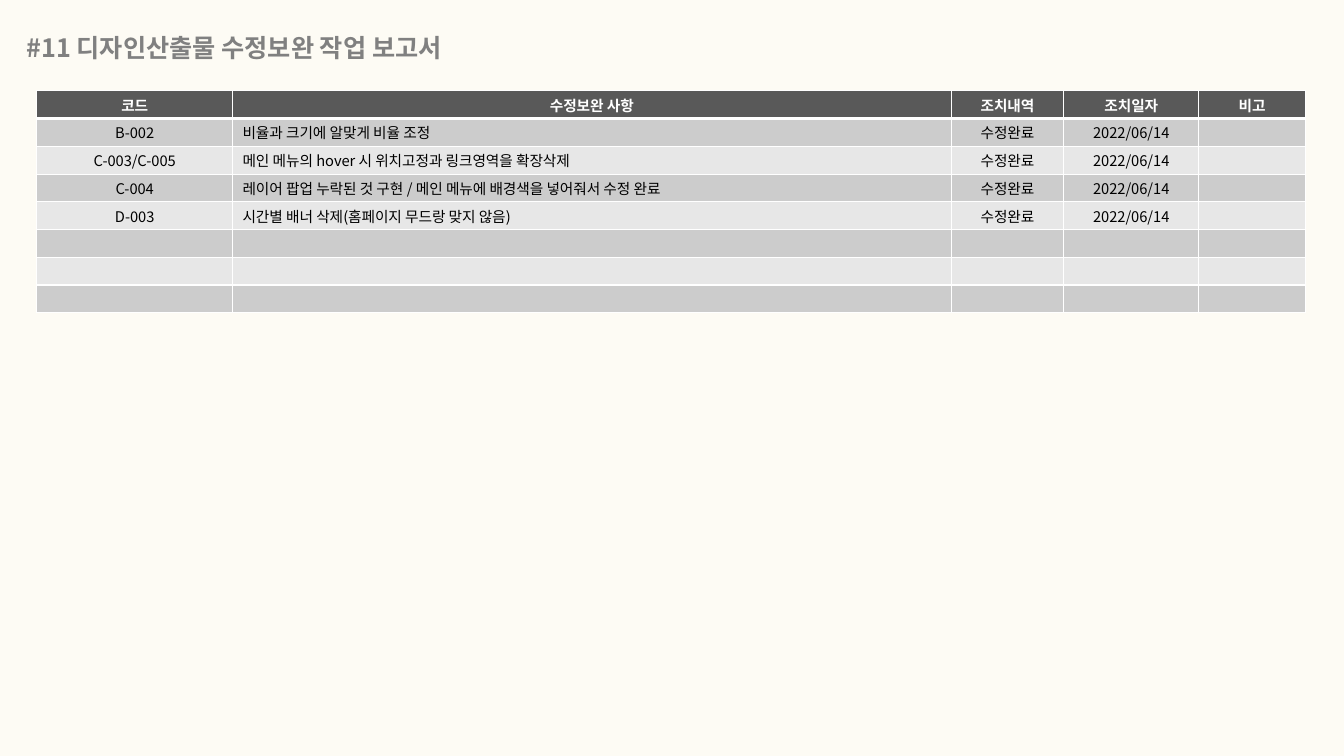
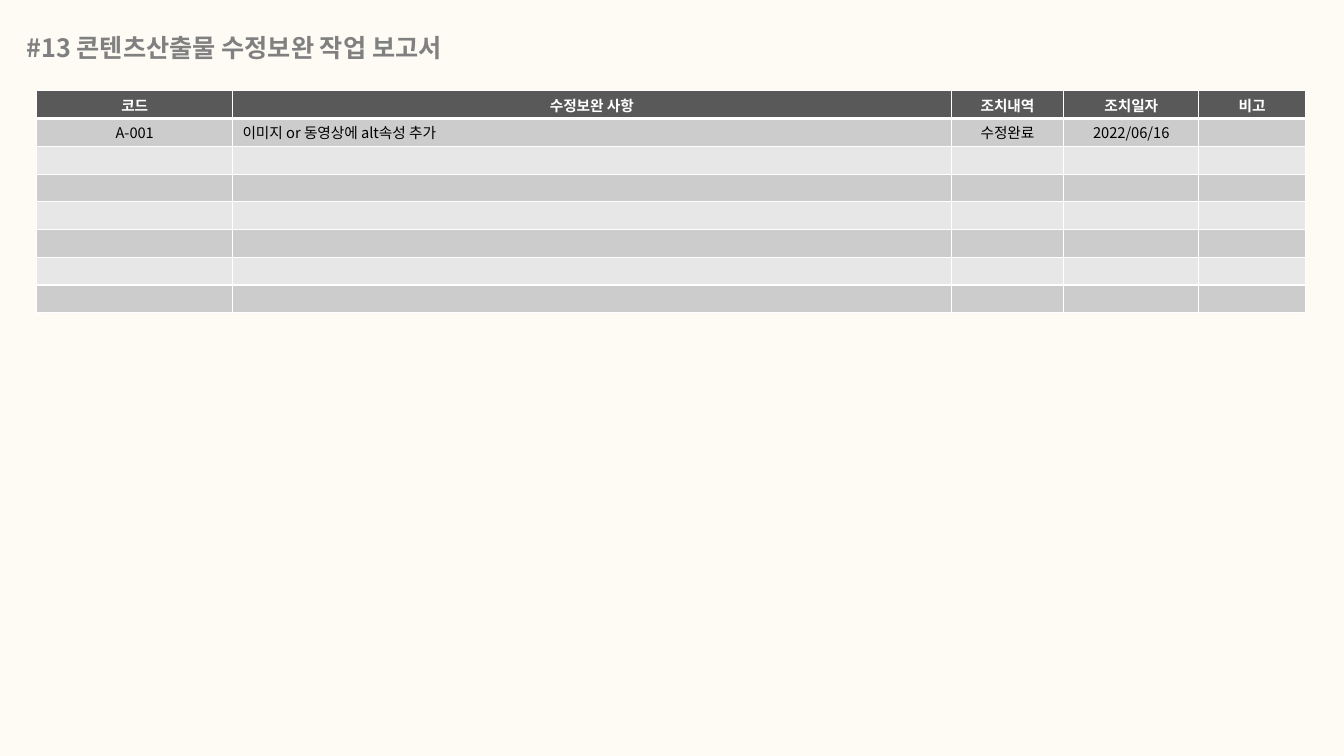
from lxml import etree
from pptx import Presentation
from pptx import util as u
from pptx.dml.color import RGBColor
from pptx.enum import text
from pptx.oxml import ns

FONT = "Noto Sans CJK KR"
CREAM = RGBColor(0xFD, 0xFB, 0xF4)
GRAY = RGBColor(0x80, 0x80, 0x80)
DARK = RGBColor(0x59, 0x59, 0x59)
BANDS = RGBColor(0xCC, 0xCC, 0xCC), RGBColor(0xE7, 0xE7, 0xE7)
WHITE = RGBColor(0xFF, 0xFF, 0xFF)
BLACK = RGBColor(0, 0, 0)

HEADER = ["코드", "수정보완 사항", "조치내역", "조치일자", "비고"]
COL_WIDTHS = [4.93, 18.11, 2.84, 3.4, 2.69]
ROW_HEIGHT = 0.7
ROW_COUNT = 8
DETAIL_COL = 1
CELL_SIZE = 10.5

REPORTS = [
    ("#11 디자인산출물 수정보완 작업 보고서", [
        ["B-002", "비율과 크기에 알맞게 비율 조정", "수정완료", "2022/06/14"],
        ["C-003/C-005", "메인 메뉴의 hover 시 위치고정과 링크영역을 확장삭제",
         "수정완료", "2022/06/14"],
        ["C-004", "레이어 팝업 누락된 것 구현 / 메인 메뉴에 배경색을 넣어줘서 수정 완료",
         "수정완료", "2022/06/14"],
        ["D-003", "시간별 배너 삭제(홈페이지 무드랑 맞지 않음)",
         "수정완료", "2022/06/14"],
    ]),
    ("#13 콘텐츠산출물 수정보완 작업 보고서", [
        ["A-001", "이미지 or 동영상에 alt속성 추가", "수정완료", "2022/06/16"],
    ]),
]


class Deck:
    """Holds the shared style and the current slide."""

    def __init__(self):
        self.prs = Presentation()
        self.prs.slide_width = u.Cm(33.87)
        self.prs.slide_height = u.Cm(19.05)
        fill = self.prs.slide_master.background.fill
        fill.solid()
        fill.fore_color.rgb = CREAM
        self.s = None

    def add_slide(self, title):
        self.s = self.prs.slides.add_slide(self.prs.slide_layouts[5])
        sp = self.s.shapes.title
        sp.left, sp.top = u.Cm(0.41), u.Cm(0.69)
        sp.width, sp.height = u.Cm(12.17), u.Cm(1.02)
        tf = sp.text_frame
        tf.text = title
        tf.word_wrap = False
        tf.auto_size = text.MSO_AUTO_SIZE.NONE
        tf.vertical_anchor = text.MSO_ANCHOR.MIDDLE
        p = tf.paragraphs[0]
        p.alignment = text.PP_ALIGN.LEFT
        self.style_runs(p, 18, GRAY, True)

    def style_runs(self, p, size, color, bold):
        for r in p.runs:
            r.font.size = u.Pt(size)
            r.font.bold = bold
            r.font.color.rgb = color
            r.font.name = FONT
            ea = etree.SubElement(r.font._element, ns.qn("a:ea"))
            ea.set("typeface", FONT)

    def borders(self, cell, bottom):
        tc_pr = cell._tc.get_or_add_tcPr()
        for side, width in zip("LRTB", (1, 1, 1, bottom)):
            ln = etree.SubElement(tc_pr, ns.qn("a:ln" + side), w=str(u.Pt(width)))
            fill = etree.SubElement(ln, ns.qn("a:solidFill"))
            etree.SubElement(fill, ns.qn("a:srgbClr"), val=str(WHITE))

    def cell(self, cell, value, fill, color, bold, align, bottom=1):
        self.borders(cell, bottom)
        cell.fill.solid()
        cell.fill.fore_color.rgb = fill
        cell.margin_top = cell.margin_bottom = u.Cm(0.08)
        cell.vertical_anchor = text.MSO_ANCHOR.MIDDLE
        p = cell.text_frame.paragraphs[0]
        p.alignment = align
        if value:
            p.text = value
            self.style_runs(p, CELL_SIZE, color, bold)
        else:
            # Keeps empty rows from growing to the default text size
            etree.SubElement(p._p, ns.qn("a:endParaRPr"), sz=str(int(CELL_SIZE * 100)))

    def table(self, entries):
        tbl = self.s.shapes.add_table(
            ROW_COUNT, len(HEADER), u.Cm(0.93), u.Cm(2.29),
            u.Cm(sum(COL_WIDTHS)), u.Cm(ROW_HEIGHT * ROW_COUNT)).table
        for col, width in zip(tbl.columns, COL_WIDTHS):
            col.width = u.Cm(width)
        for row in tbl.rows:
            row.height = u.Cm(ROW_HEIGHT)

        # Header row
        center, left = text.PP_ALIGN.CENTER, text.PP_ALIGN.LEFT
        for c, label in enumerate(HEADER):
            self.cell(tbl.cell(0, c), label, DARK, WHITE, True, center, bottom=3)

        # Banded body, blank where there is no entry
        for i in range(1, ROW_COUNT):
            values = entries[i - 1] if i <= len(entries) else []
            for c in range(len(HEADER)):
                value = values[c] if c < len(values) else ""
                self.cell(tbl.cell(i, c), value, BANDS[(i - 1) % 2], BLACK, False,
                          left if c == DETAIL_COL else center)


def main():
    deck = Deck()
    for title, entries in REPORTS:
        deck.add_slide(title)
        deck.table(entries)
    deck.prs.save("out.pptx")


if __name__ == "__main__":
    main()
